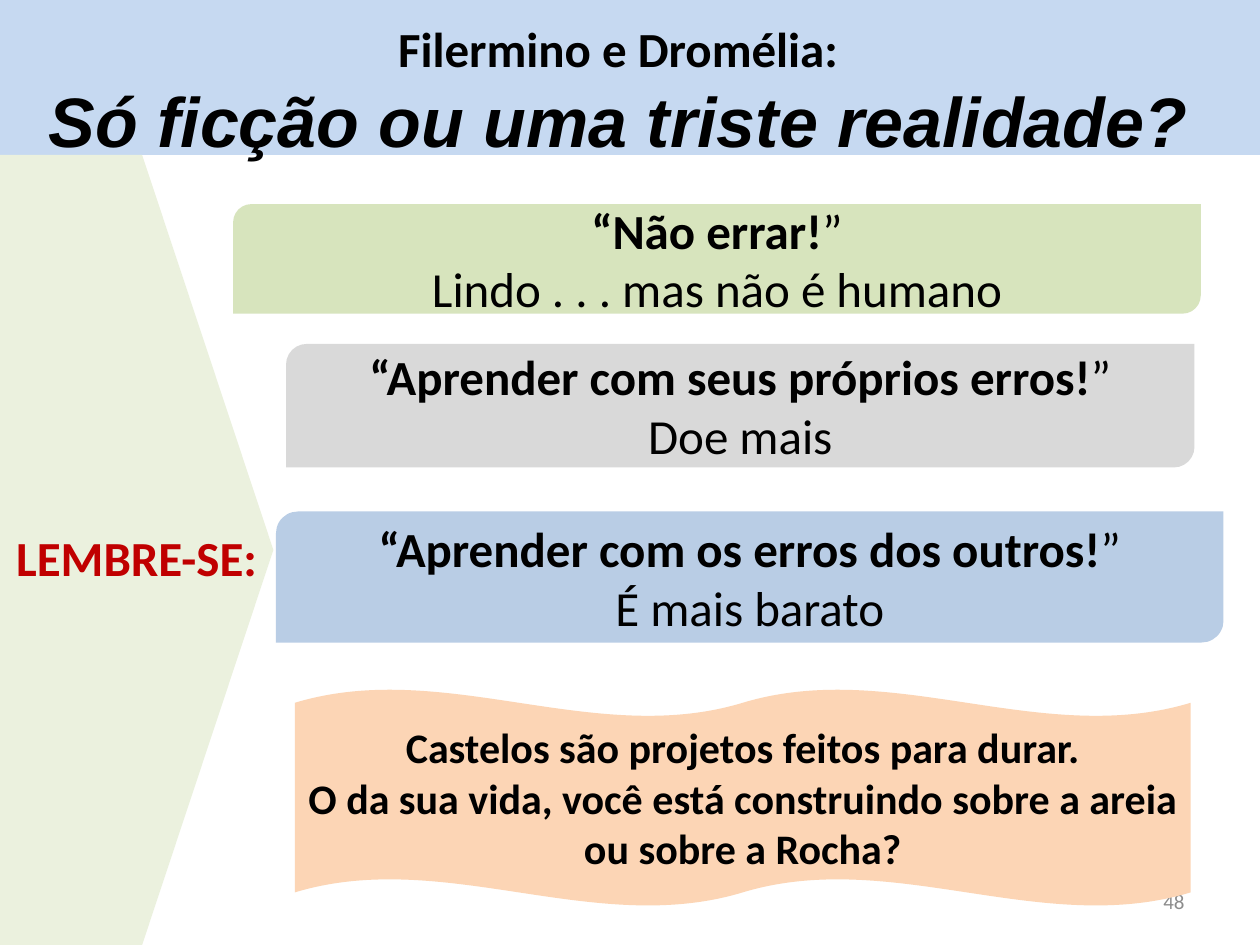
from pptx import Presentation
from pptx.dml.color import RGBColor
from pptx.enum.shapes import MSO_SHAPE as Shape
from pptx.enum.text import MSO_ANCHOR as Anchor, MSO_AUTO_SIZE as AutoSize, PP_ALIGN as Align
from pptx.util import Inches, Pt

COLORS = {
    "banner": "C6D9F1", "plate": "EBF1DE", "green": "D7E4BD", "grey": "D9D9D9",
    "blue": "B9CDE5", "peach": "FCD5B5", "text": "000000", "reminder": "C00000",
    "number": "8C8C8C",
}
HEADING = [
    [("Filermino e Dromélia:", {"size": 28, "bold": True})],
    [("Só ficção ou uma triste realidade?",
      {"size": 40, "bold": True, "italic": True, "name": "Arial"})],
]
LESSONS = [
    ("“Não errar!", "Lindo . . . mas não é humano", "green", (1.85, 1.62, 7.68, 0.87)),
    ("“Aprender com seus próprios erros!", "Doe mais", "grey", (2.27, 2.73, 7.21, 0.98)),
    ("“Aprender com os erros dos outros!", "É mais barato", "blue", (2.19, 4.06, 7.52, 1.04)),
]
CLOSING = [
    "Castelos são projetos feitos para durar.",
    "O da sua vida, você está construindo sobre a areia ou sobre a Rocha?",
]
REMINDER = "LEMBRE-SE:"
PAGE_NUMBER = "48"


def rgb(key):
    return RGBColor.from_string(COLORS[key])


def place(part, box):
    part.left, part.top, part.width, part.height = map(Inches, box)


def paint(part, color):
    part.fill.solid()
    part.fill.fore_color.rgb = rgb(color)
    part.line.fill.background()


def write(frame, paragraphs, align=Align.CENTER, color="text", **frame_format):
    settings = {"word_wrap": True, "auto_size": AutoSize.NONE,
                "vertical_anchor": Anchor.MIDDLE, **frame_format}
    for key, value in settings.items():
        setattr(frame, key, value)
    for index, runs in enumerate(paragraphs):
        paragraph = frame.add_paragraph() if index else frame.paragraphs[0]
        paragraph.alignment = align
        for text, font_format in runs:
            run = paragraph.add_run()
            run.text = text
            run.font.color.rgb = rgb(color)
            for key, value in {"name": "Calibri", **font_format}.items():
                setattr(run.font, key, Pt(value) if key == "size" else value)


def add_block(slide, preset, box, color):
    block = slide.shapes.add_shape(preset, *map(Inches, box))
    block.shadow.inherit = False
    paint(block, color)
    return block


def main():
    """Build the slide of lessons on learning from mistakes."""
    deck = Presentation()
    deck.slide_width, deck.slide_height = Inches(10), Inches(7.5)
    slide = deck.slides.add_slide(deck.slide_layouts[5])

    for quote, reply, color, box in LESSONS:
        lesson = add_block(slide, Shape.ROUND_2_DIAG_RECTANGLE, box, color)
        write(lesson.text_frame, [
            [(quote, {"size": 28, "bold": True}), ("”", {"size": 28, "bold": False})],
            [(reply, {"size": 28, "bold": False})],
        ])

    number = slide.shapes.add_textbox(*map(Inches, (7.17, 6.95, 2.33, 0.4)))
    write(number.text_frame, [[(PAGE_NUMBER, {"size": 12})]], Align.RIGHT, "number")

    plate = add_block(slide, Shape.PENTAGON, (0, 1.23, 2.17, 6.27), "plate")
    plate.adjustments[0] = 0.48

    heading = slide.shapes.title
    place(heading, (0, 0, 10, 1.23))
    paint(heading, "banner")
    write(heading.text_frame, HEADING, vertical_anchor=Anchor.TOP,
          margin_top=Inches(0.15), margin_bottom=0, margin_right=Inches(0.29))

    reminder = slide.shapes.add_textbox(*map(Inches, (0.03, 4.14, 2.12, 0.57)))
    write(reminder.text_frame, [[(REMINDER, {"size": 28, "bold": True})]], Align.LEFT,
          "reminder", vertical_anchor=Anchor.TOP, auto_size=AutoSize.SHAPE_TO_FIT_TEXT)

    closing = add_block(slide, Shape.DOUBLE_WAVE, (2.34, 5.47, 7.11, 1.72), "peach")
    write(closing.text_frame, [[(line, {"size": 24, "bold": True})] for line in CLOSING])

    deck.save("out.pptx")


if __name__ == "__main__":
    main()
